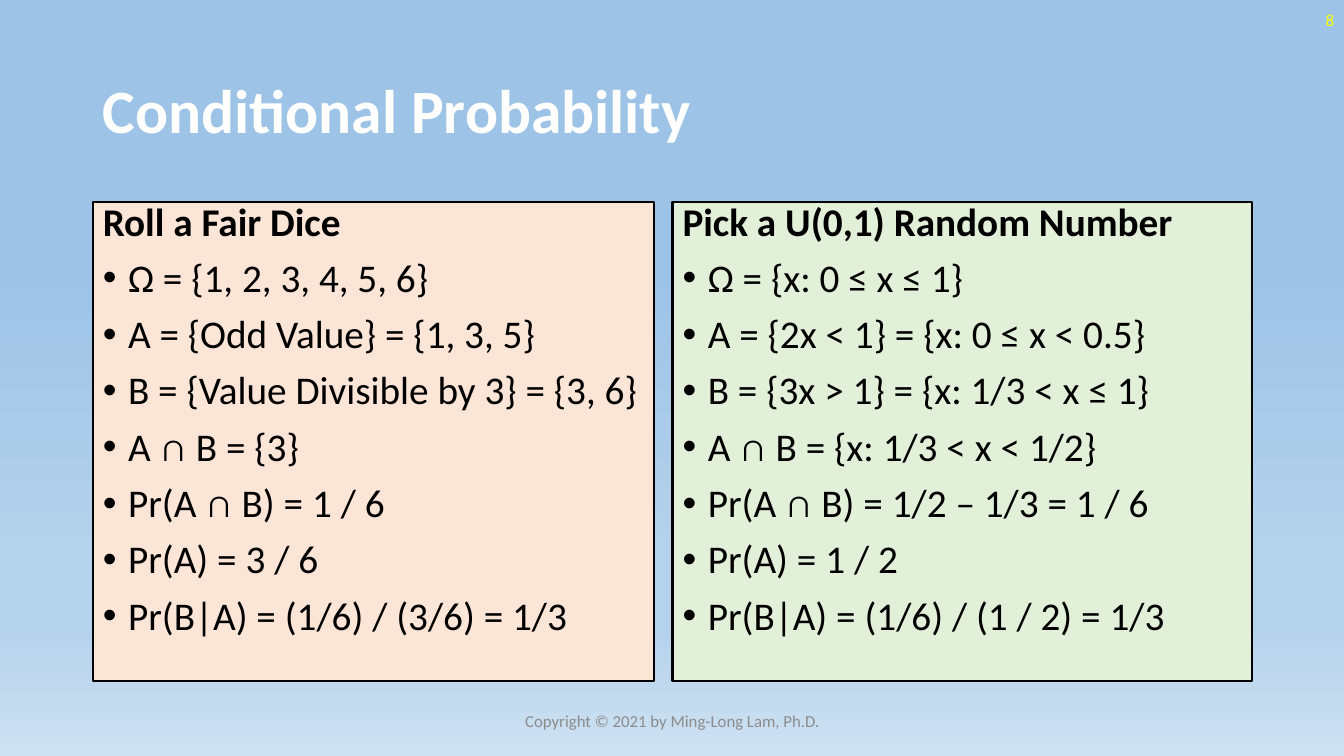
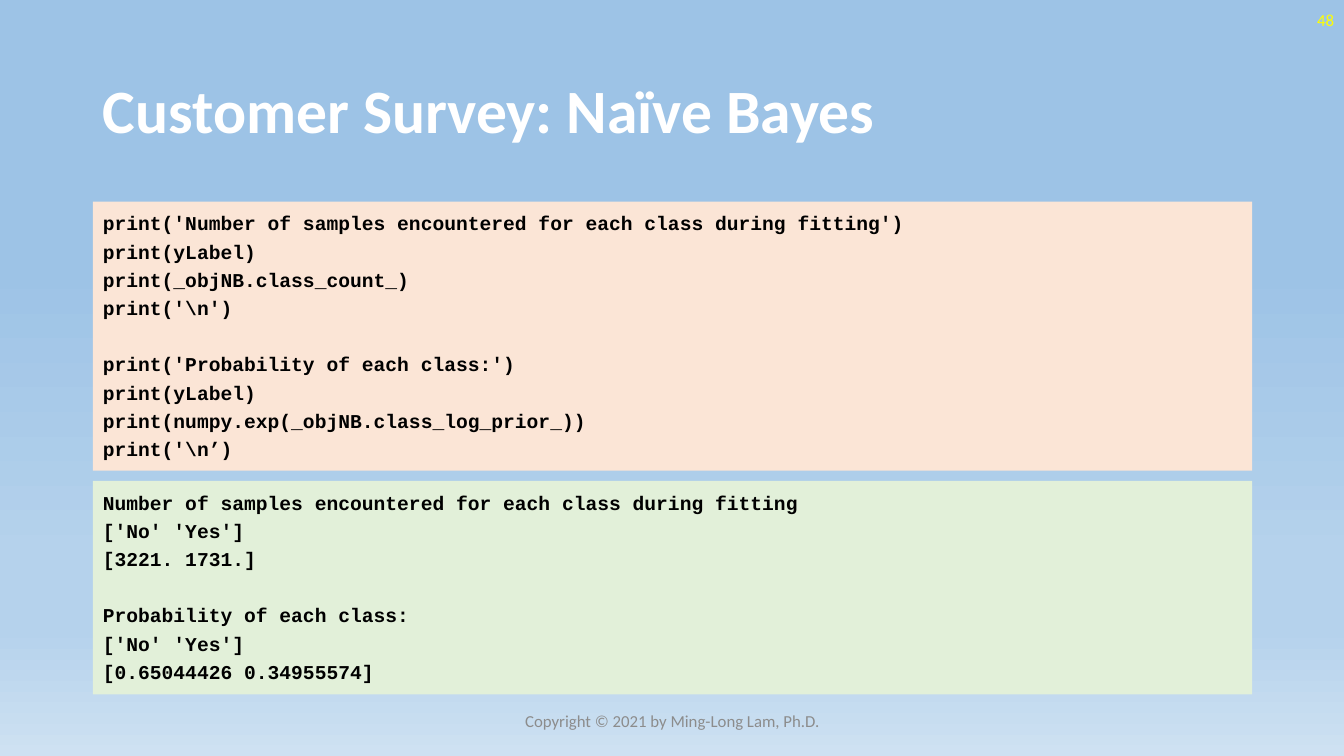
from lxml import etree
from pptx import Presentation
from pptx import util as u
from pptx.dml.color import RGBColor
from pptx.enum import text
from pptx.oxml import ns

WHITE = RGBColor(0xFF, 0xFF, 0xFF)
BLACK = RGBColor(0x00, 0x00, 0x00)
YELLOW = RGBColor(0xFF, 0xFF, 0x00)
GRAY = RGBColor(0x8C, 0x8C, 0x8C)
PEACH = RGBColor(0xFB, 0xE5, 0xD6)
MINT = RGBColor(0xE2, 0xF0, 0xD9)
SKY_STOPS = (
    (35, RGBColor(0x9D, 0xC3, 0xE6)),
    (74, RGBColor(0xB5, 0xD2, 0xEC)),
    (83, RGBColor(0xB5, 0xD2, 0xEC)),
    (100, RGBColor(0xCE, 0xE1, 0xF2)),
)

BODY_FONT = "Calibri"
CODE_FONT = "Courier New"
TWO_CONTENT = 3
LEFT, TOP, WIDTH = 0.92, 2, 11.5
CODE_LINE = 20
COPYRIGHT = "Copyright © 2021 by Ming-Long Lam, Ph.D."

DICE = (
    "Ω = {1, 2, 3, 4, 5, 6}",
    "A = {Odd Value} = {1, 3, 5}",
    "B = {Value Divisible by 3} = {3, 6}",
    "A ∩ B = {3}",
    "Pr(A ∩ B) = 1 / 6",
    "Pr(A) = 3 / 6",
    "Pr(B|A) = (1/6) / (3/6) = 1/3",
)
UNIFORM = (
    "Ω = {x: 0 ≤ x ≤ 1}",
    "A = {2x < 1} = {x: 0 ≤ x < 0.5}",
    "B = {3x > 1} = {x: 1/3 < x ≤ 1}",
    "A ∩ B = {x: 1/3 < x < 1/2}",
    "Pr(A ∩ B) = 1/2 – 1/3 = 1 / 6",
    "Pr(A) = 1 / 2",
    "Pr(B|A) = (1/6) / (1 / 2) = 1/3",
)
CODE = (
    (
        "print('Number of samples encountered for each class during fitting')",
        "print(yLabel)",
        "print(_objNB.class_count_)",
        r"print('\n')",
    ),
    (
        "print('Probability of each class:')",
        "print(yLabel)",
        "print(numpy.exp(_objNB.class_log_prior_))",
        r"print('\n’)",
    ),
)
OUTPUT = (
    (
        "Number of samples encountered for each class during fitting",
        "['No' 'Yes']",
        "[3221. 1731.]",
    ),
    (
        "Probability of each class:",
        "['No' 'Yes']",
        "[0.65044426 0.34955574]",
    ),
)


def set_background(master):
    fill = master.background.fill
    fill.gradient()
    fill.gradient_angle = 270
    stops = master.element.find(".//" + ns.qn("a:gsLst"))
    for stop in list(stops):
        stops.remove(stop)
    for percent, color in SKY_STOPS:
        stop = etree.SubElement(stops, ns.qn("a:gs"), pos=str(percent * 1000))
        etree.SubElement(stop, ns.qn("a:srgbClr"), val=str(color))


def place(box, left, top, width, height):
    box.left, box.top = u.Inches(left), u.Inches(top)
    box.width, box.height = u.Inches(width), u.Inches(height)


def style(para, size, color, name=BODY_FONT, bold=False):
    font = para.font
    font.name, font.size, font.bold = name, u.Pt(size), bold
    font.color.rgb = color


def set_bullet(para, character=None):
    props = para._p.get_or_add_pPr()
    indent = u.Inches(0.25) if character else 0
    props.set("marL", str(indent))
    props.set("indent", str(-indent))
    if character:
        etree.SubElement(props, ns.qn("a:buChar"), char=character)
    else:
        etree.SubElement(props, ns.qn("a:buNone"))


def add_label(page, words, bounds, align, color):
    box = page.shapes.add_textbox(*map(u.Inches, bounds))
    frame = box.text_frame
    frame.word_wrap = True
    frame.vertical_anchor = text.MSO_ANCHOR.MIDDLE
    para = frame.paragraphs[0]
    para.text = words
    para.alignment = align
    style(para, 12, color)


def add_page(deck, title, number):
    page = deck.slides.add_slide(deck.slide_layouts[TWO_CONTENT])
    heading = page.shapes.title
    place(heading, LEFT, 0.4, WIDTH, 1.45)
    frame = heading.text_frame
    frame.text = title
    frame.vertical_anchor = text.MSO_ANCHOR.MIDDLE
    para = frame.paragraphs[0]
    para.alignment = text.PP_ALIGN.LEFT
    para.line_spacing = 0.9
    style(para, 44, WHITE, bold=True)
    add_label(page, str(number), (10.33, 0, 3, 0.4), text.PP_ALIGN.RIGHT, YELLOW)
    add_label(page, COPYRIGHT, (4.42, 6.95, 4.5, 0.4), text.PP_ALIGN.CENTER, GRAY)
    return page


def fill_panel(box, bounds, color, outlined=False):
    place(box, *bounds)
    box.fill.solid()
    box.fill.fore_color.rgb = color
    if outlined:
        box.line.color.rgb = BLACK
        box.line.width = u.Pt(1.5)
    frame = box.text_frame
    frame.word_wrap = True
    frame.auto_size = text.MSO_AUTO_SIZE.NONE
    return frame


def add_line(frame, words, first, bullet=None, spacing=1.0, before=0):
    para = frame.paragraphs[0] if first else frame.add_paragraph()
    para.text = words
    set_bullet(para, bullet)
    para.line_spacing = spacing
    para.space_before = u.Pt(before)
    return para


def write_list(frame, heading, items):
    style(add_line(frame, heading, True, spacing=0.8), 28, BLACK, bold=True)
    for item in items:
        para = add_line(frame, item, False, "•", 0.9, 10)
        style(para, 28, BLACK)


def write_code(frame, blocks):
    for block_index, block in enumerate(blocks):
        for line_index, line in enumerate(block):
            first = block_index == line_index == 0
            before = CODE_LINE if block_index and not line_index else 0
            para = add_line(frame, line, first, spacing=1.2, before=before)
            style(para, 14, BLACK, CODE_FONT, True)


def add_probability_page(deck):
    page = add_page(deck, "Conditional Probability", 8)
    dice, uniform = list(page.placeholders)[1:]
    frame = fill_panel(dice, (LEFT, TOP, 5.57, 4.76), PEACH, True)
    write_list(frame, "Roll a Fair Dice", DICE)
    frame = fill_panel(uniform, (6.67, TOP, 5.75, 4.76), MINT, True)
    write_list(frame, "Pick a U(0,1) Random Number", UNIFORM)


def add_survey_page(deck):
    page = add_page(deck, "Customer Survey: Naïve Bayes", 48)
    code, output = list(page.placeholders)[1:]
    write_code(fill_panel(code, (LEFT, TOP, WIDTH, 2.67), PEACH), CODE)
    write_code(fill_panel(output, (LEFT, 4.77, WIDTH, 2.12), MINT), OUTPUT)


def main():
    deck = Presentation()
    deck.slide_width, deck.slide_height = u.Inches(13.33), u.Inches(7.5)
    set_background(deck.slide_master)
    add_probability_page(deck)
    add_survey_page(deck)
    deck.save("out.pptx")


if __name__ == "__main__":
    main()
